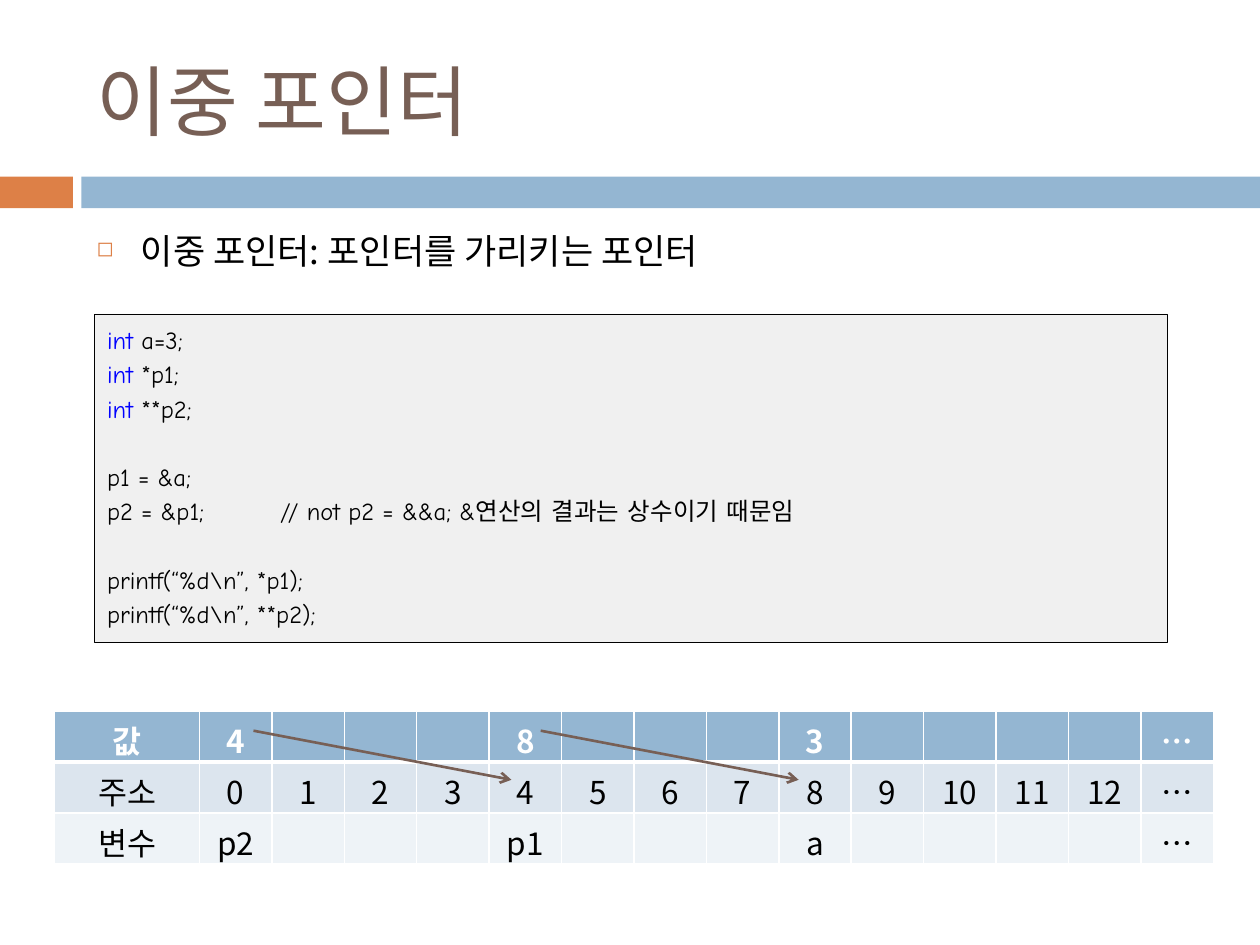
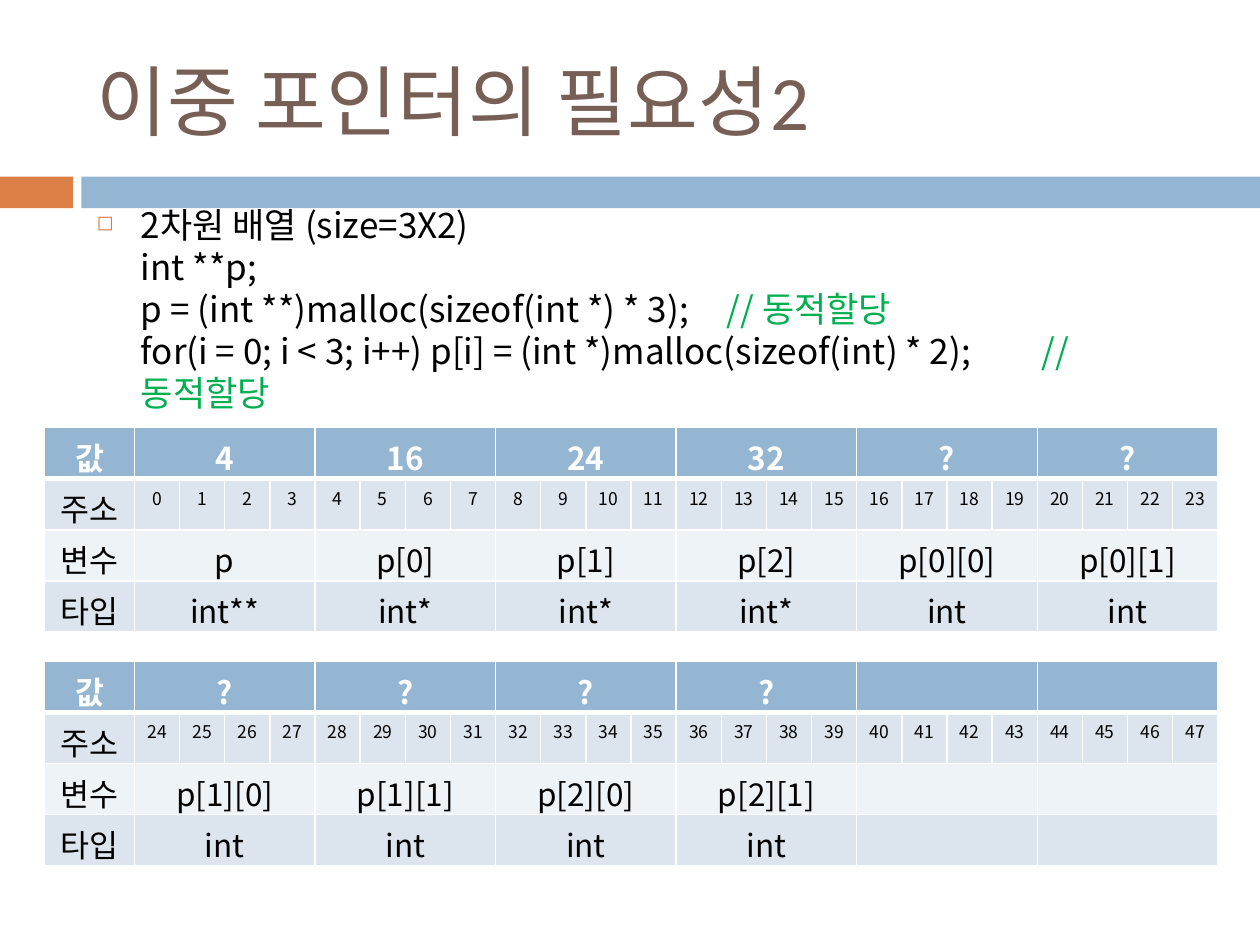
"""Build two slides that explain double pointers in C."""
from dataclasses import dataclass
from typing import Any, NamedTuple

from lxml import etree
from pptx import Presentation
from pptx import util as u
from pptx.dml import color
from pptx.enum import shapes, text
from pptx.oxml import ns

COLORS = {
    "orange": "DD8047", "blue": "94B6D2", "brown": "775F55", "black": "000000",
    "white": "FFFFFF", "keyword": "0000FF", "comment": "00B050", "code": "F0F0F0",
    "band_dark": "DCE5EE", "band_light": "EEF3F7",
}
BODY_FONT = "Noto Sans CJK KR"
CODE_FONT = "Comic Neue"
CODE_PITCH = 19.6
ROW_HEIGHT = 1.03


class Box(NamedTuple):
    left: float
    top: float
    width: float
    height: float

    def lengths(self) -> list[u.Length]:
        return [u.Cm(value) for value in self]


class Run(NamedTuple):
    words: str
    color: str = "black"


class Arrow(NamedTuple):
    left: float
    top: float = 14.73
    width: float = 5.2
    height: float = 0.99


@dataclass
class CodeLine:
    runs: list[Run]
    gap_before: float = 0


@dataclass
class Grid:
    left: float
    top: float
    first_width: float
    cell_width: float
    rows: list[list[str]]
    group: int = 1
    address_size: float = 18


BANDS = [(Box(0, 3.56, 1.47, 0.64), "orange"), (Box(1.64, 3.56, 23.76, 0.64), "blue")]
TITLE_BOX = Box(1.7, 0.64, 22.66, 2.74)
CODE_BOX = Box(1.91, 6.33, 21.62, 6.61)
CODE_LINES = [
    CodeLine([Run("int", "keyword"), Run(" a=3;")]),
    CodeLine([Run("int", "keyword"), Run(" *p1;")]),
    CodeLine([Run("int", "keyword"), Run(" **p2;")]),
    CodeLine([Run("p1 = &a;")], CODE_PITCH),
    CodeLine([Run("p2 = &p1;\t\t// not p2 = &&a; &연산의 결과는 상수이기 때문임")]),
    CodeLine([Run("printf(“%d\\n”, *p1);")], CODE_PITCH),
    CodeLine([Run("printf(“%d\\n”, **p2);")]),
]
ARRAY_RUNS = [
    Run("2차원 배열 (size=3X2)\nint **p;\np = (int **)malloc(sizeof(int *) * 3); "),
    Run("\t// 동적할당\n", "comment"),
    Run("for(i = 0; i < 3; i++) p[i] = (int *)malloc(sizeof(int) * 2); \t"),
    Run("// 동적할당", "comment"),
]


def sparse(entries: dict[int, str], count: int = 14) -> list[str]:
    """Return a row of count cells with only the given entries filled."""
    return [entries.get(index, "") for index in range(count)]


def numbers(start: int, stop: int) -> list[str]:
    """Return consecutive addresses as words."""
    return [str(number) for number in range(start, stop)]


MEMORY = Grid(1.1, 14.33, 2.92, 1.46, [
    ["값", *sparse({0: "4", 4: "8", 8: "3", 13: "…"})],
    ["주소", *numbers(0, 13), "…"],
    ["변수", *sparse({0: "p2", 4: "p1", 8: "a", 13: "…"})],
])
ARRAY_GRIDS = [
    Grid(0.9, top, 1.81, 0.91, [
        ["값", *values],
        ["주소", *numbers(start, start + 24)],
        ["변수", *names],
        ["타입", *kinds],
    ], group=4, address_size=10)
    for top, start, values, names, kinds in [
        (8.62, 0, ["4", "16", "24", "32", "?", "?"],
         ["p", "p[0]", "p[1]", "p[2]", "p[0][0]", "p[0][1]"],
         ["int**", "int*", "int*", "int*", "int", "int"]),
        (13.33, 24, ["?"] * 4 + [""] * 2,
         ["p[1][0]", "p[1][1]", "p[2][0]", "p[2][1]", "", ""],
         ["int"] * 4 + [""] * 2),
    ]
]


def rgb(name: str) -> color.RGBColor:
    """Look up a named colour."""
    return color.RGBColor.from_string(COLORS[name])


def add_xml(parent: Any, tag: str, **attributes: str) -> Any:
    """Append a child element to parent."""
    return etree.SubElement(parent, ns.qn(tag), attributes)


def write(paragraph: Any, words: str, *, size: float, font: str = BODY_FONT,
          fill: str = "black", bold: bool = False) -> None:
    """Add formatted words, turning newlines into line breaks."""
    for index, part in enumerate(words.split("\n")):
        if index:
            paragraph.add_line_break()
        if not part:
            continue
        run = paragraph.add_run()
        run.text = part
        run.font.size = u.Pt(size)
        run.font.bold = bold
        run.font.color.rgb = rgb(fill)
        run.font.name = font
        add_xml(run._r.get_or_add_rPr(), "a:ea", typeface=font)


def hang(paragraph: Any, indent: float) -> Any:
    """Give a paragraph a hanging indent and return its properties."""
    properties = paragraph._p.get_or_add_pPr()
    properties.set("marL", str(u.Cm(indent)))
    properties.set("indent", str(-u.Cm(indent)))
    return properties


def add_rectangle(slide: Any, box: Box, fill: str) -> Any:
    """Draw a flat rectangle without outline."""
    shape = slide.shapes.add_shape(shapes.MSO_SHAPE.RECTANGLE, *box.lengths())
    shape.shadow.inherit = False
    shape.fill.solid()
    shape.fill.fore_color.rgb = rgb(fill)
    shape.line.fill.background()
    return shape


def add_text_frame(slide: Any, box: Box) -> Any:
    """Add a wrapping text box and return its frame."""
    frame = slide.shapes.add_textbox(*box.lengths()).text_frame
    frame.word_wrap = True
    return frame


def add_slide(presentation: Any, title: str) -> Any:
    """Start a slide with the shared bands and title."""
    slide = presentation.slides.add_slide(presentation.slide_layouts[6])
    for box, fill in BANDS:
        add_rectangle(slide, box, fill)
    frame = add_text_frame(slide, TITLE_BOX)
    frame.vertical_anchor = text.MSO_ANCHOR.MIDDLE
    write(frame.paragraphs[0], title, size=44, font="Calibri", fill="brown")
    return slide


def add_bullet(slide: Any, top: float, runs: list[Run]) -> None:
    """Add the bulleted body text."""
    paragraph = add_text_frame(slide, Box(1.7, top, 22.66, 12.5)).paragraphs[0]
    paragraph.line_spacing = u.Pt(23.9)
    properties = hang(paragraph, 0.89)
    add_xml(add_xml(properties, "a:buClr"), "a:srgbClr", val=COLORS["orange"])
    add_xml(properties, "a:buSzPct", val="60000")
    add_xml(properties, "a:buChar", char="◻")
    for run in runs:
        write(paragraph, run.words, size=20, fill=run.color)


def add_code(slide: Any) -> None:
    """Draw the code panel."""
    panel = add_rectangle(slide, CODE_BOX, "code")
    panel.line.color.rgb = rgb("black")
    panel.line.width = u.Pt(0.25)
    frame = panel.text_frame
    frame.word_wrap = True
    frame.vertical_anchor = text.MSO_ANCHOR.TOP
    for index, line in enumerate(CODE_LINES):
        paragraph = frame.add_paragraph() if index else frame.paragraphs[0]
        paragraph.alignment = text.PP_ALIGN.LEFT
        paragraph.line_spacing = u.Pt(CODE_PITCH)
        paragraph.space_before = u.Pt(line.gap_before)
        hang(paragraph, 0.95)
        for run in line.runs:
            write(paragraph, run.words, size=14, font=CODE_FONT, fill=run.color)


def style_cell(cell: Any, fill: str, bottom: float) -> None:
    """Set a cell's white borders, fill and side margins."""
    properties = cell._tc.get_or_add_tcPr()
    for side, width in (("L", 1), ("R", 1), ("T", 1), ("B", bottom)):
        border = add_xml(properties, f"a:ln{side}", w=str(u.Pt(width)))
        add_xml(add_xml(border, "a:solidFill"), "a:srgbClr", val=COLORS["white"])
    cell.fill.solid()
    cell.fill.fore_color.rgb = rgb(fill)
    cell.margin_left = cell.margin_right = u.Cm(0.1)


def add_grid(slide: Any, grid: Grid) -> None:
    """Draw a memory table, merging cells of the rows that have one value per group."""
    row_count, column_count = len(grid.rows), len(grid.rows[1])
    width = grid.first_width + grid.cell_width * (column_count - 1)
    box = Box(grid.left, grid.top, width, ROW_HEIGHT * row_count)
    table = slide.shapes.add_table(row_count, column_count, *box.lengths()).table
    for index, column in enumerate(table.columns):
        column.width = u.Cm(grid.cell_width if index else grid.first_width)
    for row, words in enumerate(grid.rows):
        header, address = row == 0, row == 1
        fill = "blue" if header else "band_dark" if row % 2 else "band_light"
        for column in range(column_count):
            style_cell(table.cell(row, column), fill, 3 if header else 1)
        step = 1 if address else grid.group
        for index, word in enumerate(words):
            column = 1 + (index - 1) * step if index else 0
            cell = table.cell(row, column)
            if index and step > 1:
                cell.merge(table.cell(row, column + step - 1))
            paragraph = cell.text_frame.paragraphs[0]
            paragraph.alignment = text.PP_ALIGN.CENTER
            write(paragraph, word, size=grid.address_size if address and index else 18,
                  fill="white" if header else "black", bold=header)


def add_arrow(slide: Any, arrow: Arrow) -> None:
    """Draw an arrow from a pointer's value to the address it holds."""
    connector = slide.shapes.add_connector(
        shapes.MSO_CONNECTOR.STRAIGHT, u.Cm(arrow.left), u.Cm(arrow.top),
        u.Cm(arrow.left + arrow.width), u.Cm(arrow.top + arrow.height))
    connector.line.color.rgb = rgb("brown")
    connector.line.width = u.Pt(1.5)
    add_xml(connector.line._get_or_add_ln(), "a:tailEnd", type="arrow")
    add_xml(connector._element.spPr, "a:effectLst")


def main() -> None:
    """Build and save the presentation."""
    presentation = Presentation()
    presentation.slide_width, presentation.slide_height = u.Cm(25.4), u.Cm(19.05)

    slide = add_slide(presentation, "이중 포인터")
    add_bullet(slide, 4.5, [Run("이중 포인터: 포인터를 가리키는 포인터")])
    add_code(slide)
    add_grid(slide, MEMORY)
    for left in (10.9, 5.11):
        add_arrow(slide, Arrow(left))

    slide = add_slide(presentation, "이중 포인터의 필요성2")
    add_bullet(slide, 3.99, ARRAY_RUNS)
    for grid in ARRAY_GRIDS:
        add_grid(slide, grid)

    presentation.save("out.pptx")


if __name__ == "__main__":
    main()
